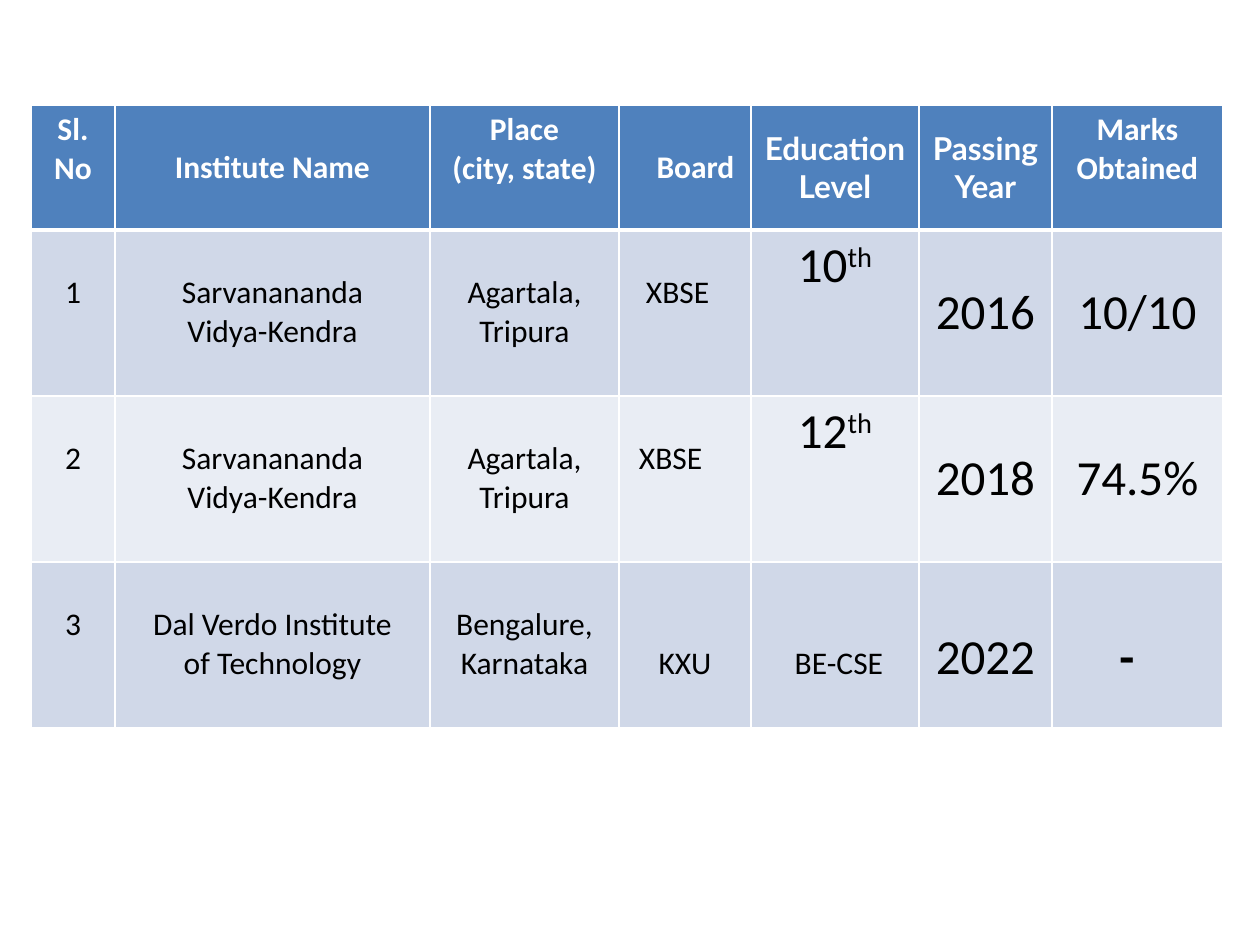
from lxml import etree
from pptx import Presentation
from pptx import util as u
from pptx.dml.color import RGBColor
from pptx.enum import text
from pptx.oxml import ns

SCALE = 914400 / 126
COLORS = {"header": "4F81BD", "odd": "D0D8E8", "even": "E9EDF4",
          "white": "FFFFFF", "black": "000000"}
LINE = 44   # top margin that starts the text on the second line
LINES = 83  # top margin that starts the text on the third line


def px(length):
    return u.Emu(round(length * SCALE))


def set_borders(cell, top, bottom):
    properties = cell._tc.get_or_add_tcPr()
    widths = {"lnL": 1, "lnR": 1, "lnT": top, "lnB": bottom}
    for index, (side, width) in enumerate(widths.items()):
        line = etree.Element(ns.qn("a:" + side), w=str(u.Pt(width)))
        fill = etree.SubElement(line, ns.qn("a:solidFill"))
        etree.SubElement(fill, ns.qn("a:srgbClr"), val=COLORS["white"])
        properties.insert(index, line)


# Cell text, followed by what differs from centred 18 pt text at the top
middle = {"middle": True, "left": 5, "right": 5, "top": 5, "bottom": 5}
large = {**middle, "size": 28}
label = {**middle, "font": "Lato"}
lowered = {"top": LINE}
rows = [
    [("Sl.\nNo", {}), ("Institute Name", lowered), ("Place\n(city, state)", {}),
     ("Board", {"top": LINE, "left": 33}), ("Education Level", label),
     ("Passing Year", label), ("Marks Obtained", {})],
    [("1", lowered), ("Sarvanananda\nVidya-Kendra", lowered),
     ("Agartala, Tripura", lowered), ("XBSE", {"top": LINE, "left": 27, "flush": True}),
     ("10th", {"size": 28}), ("2016", large), ("10/10", large)],
    [("2", lowered), ("Sarvanananda\nVidya-Kendra", lowered),
     ("Agartala, Tripura", lowered), ("XBSE", {"top": LINE, "left": 20, "flush": True}),
     ("12th", {"size": 28}), ("2018", large), ("74.5%", large)],
    [("3", lowered), ("Dal Verdo Institute\nof Technology", lowered),
     ("Bengalure, Karnataka", lowered), ("KXU", {"top": LINES}),
     ("BE-CSE", {"top": LINES, "left": 20}), ("2022", {"top": 66, "size": 28}),
     ("-", {"top": 66, "size": 28, "bold": True, "right": 33})],
]
column_widths = [84, 315, 189, 132, 168, 133, 171]
row_heights = [125, 166, 166, 166]

presentation = Presentation()
presentation.slide_width, presentation.slide_height = px(1260), px(945)
slide = presentation.slides.add_slide(presentation.slide_layouts[6])

# Education table
table = slide.shapes.add_table(len(rows), len(column_widths), px(31), px(105),
                               px(sum(column_widths)), px(sum(row_heights))).table
for column, width in zip(table.columns, column_widths):
    column.width = px(width)
for row, height in zip(table.rows, row_heights):
    row.height = px(height)

for row_index, row in enumerate(rows):
    header = row_index == 0
    band = "header" if header else "odd" if row_index % 2 else "even"
    for column_index, (content, style) in enumerate(row):
        cell = table.cell(row_index, column_index)
        cell.fill.solid()
        cell.fill.fore_color.rgb = RGBColor.from_string(COLORS[band])
        set_borders(cell, 3 if row_index == 1 else 1, 3 if header else 1)
        cell.margin_left = px(style.get("left", 12))
        cell.margin_right = px(style.get("right", 12))
        cell.margin_top = px(style.get("top", 6))
        cell.margin_bottom = px(style.get("bottom", 6))
        cell.vertical_anchor = (text.MSO_ANCHOR.MIDDLE if style.get("middle")
                                else text.MSO_ANCHOR.TOP)

        # Ordinal endings become a raised run of their own
        ordinal = content.endswith("th")
        cell.text_frame.text = content.removesuffix("th")
        if ordinal:
            ending = cell.text_frame.paragraphs[0].add_run()
            ending.text = "th"
            ending._r.get_or_add_rPr().set("baseline", "30000")

        for paragraph in cell.text_frame.paragraphs:
            paragraph.alignment = (text.PP_ALIGN.LEFT if style.get("flush")
                                   else text.PP_ALIGN.CENTER)
            for run in paragraph.runs:
                run.font.name = style.get("font", "Calibri")
                run.font.size = u.Pt(style.get("size", 18))
                run.font.bold = header or style.get("bold", False)
                run.font.color.rgb = RGBColor.from_string(
                    COLORS["white" if header else "black"])

presentation.save("out.pptx")
